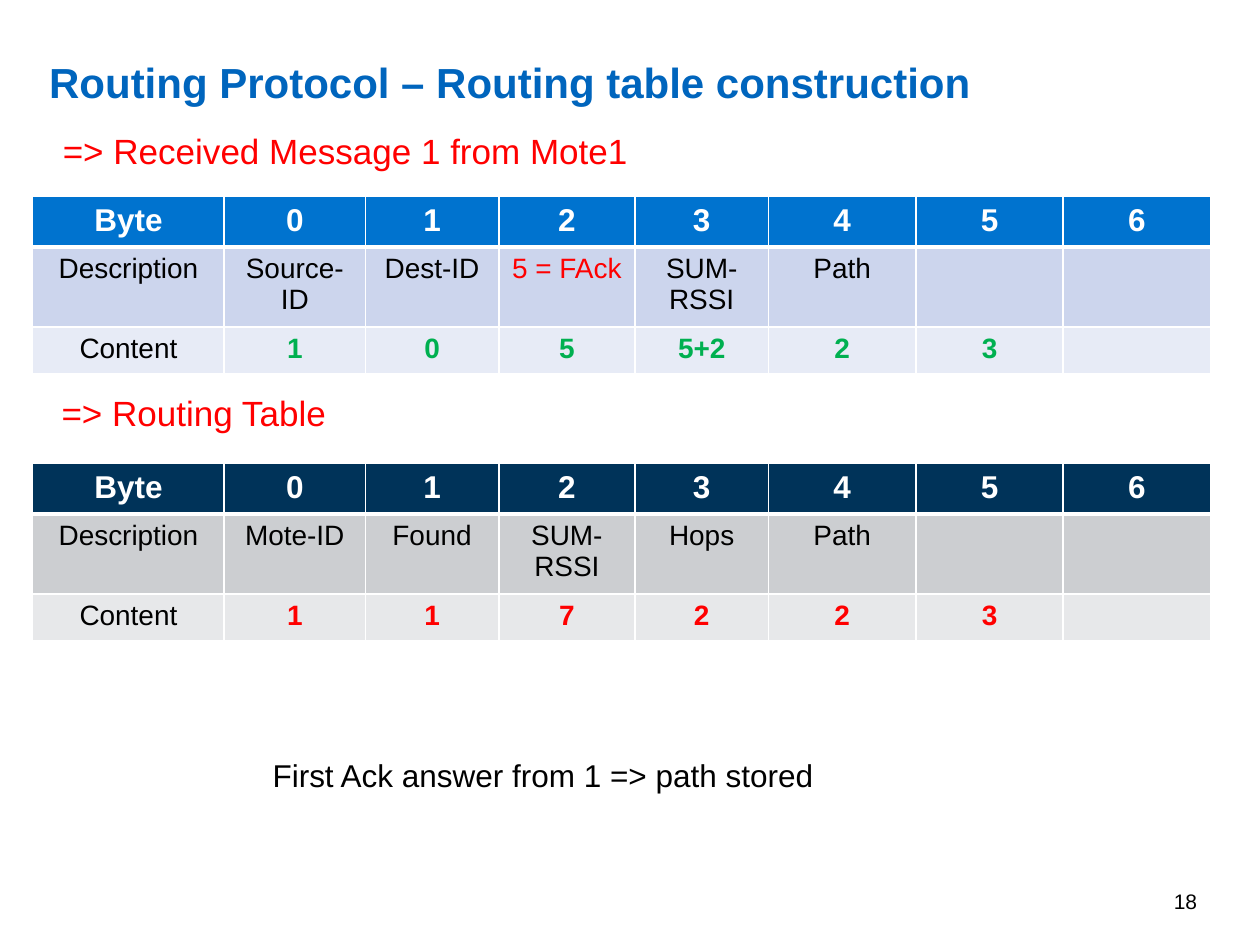
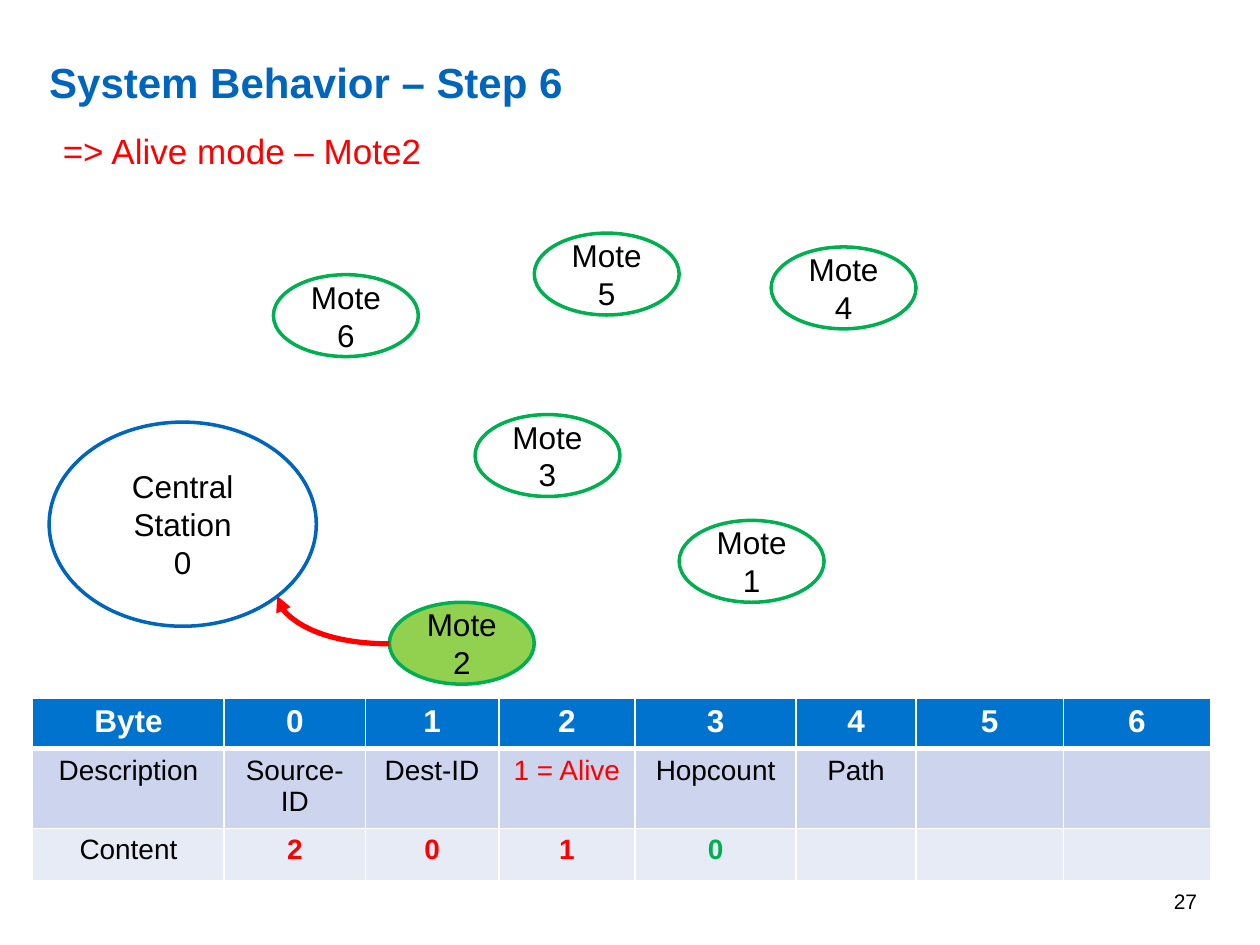
from itertools import zip_longest
from lxml import etree
from pptx import Presentation
from pptx import util as u
from pptx.dml.color import RGBColor
from pptx.enum import shapes, text
from pptx.oxml.ns import qn

FONT = "Arial"
BLACK, WHITE, RED, GREEN, BLUE = "000000", "FFFFFF", "FF0000", "00B050", "0065BD"
LIME = "92D050"
SKY = ("0073CF", "CCD5ED", "E7EBF6")
NAVY = ("003359", "CCCED1", "E7E8EA")
LEFT, MID, RIGHT = text.PP_ALIGN.LEFT, text.PP_ALIGN.CENTER, text.PP_ALIGN.RIGHT
MIDDLE = text.MSO_ANCHOR.MIDDLE


def color(code):
    return RGBColor.from_string(code)


def box(*sizes):
    return [u.Inches(size) for size in sizes]


def write(frame, words, size=18, ink=BLACK, bold=False, align=LEFT, gap=None):
    for i, line in enumerate(words.split("\n")):
        para = frame.paragraphs[0] if i == 0 else frame.add_paragraph()
        para.alignment = align
        if gap:
            para.line_spacing = gap
        if not line:
            etree.SubElement(para._p, qn("a:endParaRPr"), sz=str(size * 100))
            continue
        run = para.add_run()
        run.text = line
        font = run.font
        font.name, font.size, font.bold = FONT, u.Pt(size), bold
        font.color.rgb = color(ink)


def border(cell, head):
    props = cell._tc.get_or_add_tcPr()
    for side in "LRTB":
        thick = 3 if head and side == "B" else 1
        line = etree.SubElement(props, qn(f"a:ln{side}"), w=str(u.Pt(thick)))
        fill = etree.SubElement(line, qn("a:solidFill"))
        etree.SubElement(fill, qn("a:srgbClr"), val=WHITE)


class Deck:
    def __init__(self):
        self.prs = Presentation()
        self.prs.slide_width, self.prs.slide_height = box(10, 7.5)
        self.slide = None

    def page(self, title, number):
        self.slide = self.prs.slides.add_slide(self.prs.slide_layouts[5])
        head = self.slide.shapes.title
        head.left, head.top, head.width, head.height = box(0.39, 0.4, 7.84, 0.39)
        frame = head.text_frame
        frame.margin_left = frame.margin_right = 0
        frame.margin_top = frame.margin_bottom = 0
        frame.vertical_anchor = MIDDLE
        frame.auto_size = text.MSO_AUTO_SIZE.NONE
        write(frame, title, size=24, ink=BLUE, bold=True, gap=1.25)
        self.label((7.27, 6.95, 2.33, 0.4), str(number), wrap=True,
                   size=12, align=RIGHT)

    def label(self, area, words, wrap=False, **style):
        frame = self.slide.shapes.add_textbox(*box(*area)).text_frame
        frame.word_wrap = wrap
        if wrap:
            frame.vertical_anchor = MIDDLE
        else:
            frame.auto_size = text.MSO_AUTO_SIZE.SHAPE_TO_FIT_TEXT
        write(frame, words, **style)

    def note(self, left, top, width, words):
        self.label((left, top, width, 0.44), words, size=20, ink=RED)

    def oval(self, area, words, line=GREEN, fill=WHITE):
        shape = self.slide.shapes.add_shape(shapes.MSO_SHAPE.OVAL, *box(*area))
        shape.shadow.inherit = False
        shape.fill.solid()
        shape.fill.fore_color.rgb = color(fill)
        shape.line.color.rgb = color(line)
        shape.line.width = u.Pt(2)
        shape.text_frame.word_wrap = True
        shape.text_frame.vertical_anchor = MIDDLE
        write(shape.text_frame, words, align=MID)

    def curve(self, start, end):
        link = self.slide.shapes.add_connector(
            shapes.MSO_CONNECTOR.CURVE, *box(*start, *end))
        link.line.color.rgb = color(RED)
        link.line.width = u.Pt(3)
        props = link._element.spPr
        props.find(qn("a:prstGeom")).set("prst", "curvedConnector2")
        etree.SubElement(props.find(qn("a:ln")), qn("a:tailEnd"), type="triangle")
        etree.SubElement(props, qn("a:effectLst"))

    def table(self, top, tints, names, values, inks, mids=(1.06, 1.17), last=0.37):
        cols = (1.52, 1.12, 1.06, 1.08, *mids, 1.17, 1.17)
        rows = (0.39, 0.63, last)
        grid = self.slide.shapes.add_table(
            len(rows), len(cols), *box(0.26, top, sum(cols), sum(rows))).table
        for col, width in zip(grid.columns, cols):
            col.width = u.Inches(width)
        for row, height in zip(grid.rows, rows):
            row.height = u.Inches(height)
        heads = ["Byte", *map(str, range(7))]
        names, values = ["Description", *names], ["Content", *values]
        lines = zip_longest(heads, names, values, [BLACK, *inks], fillvalue="")
        for c, (head, name, value, ink) in enumerate(lines):
            styles = (
                (head, dict(ink=WHITE, bold=True)),
                (name, dict(size=16, ink=RED if "=" in name else BLACK)),
                (value, dict(size=16, ink=ink, bold=c > 0)),
            )
            for r, (words, style) in enumerate(styles):
                cell = grid.cell(r, c)
                border(cell, r == 0)
                cell.fill.solid()
                cell.fill.fore_color.rgb = color(tints[r])
                write(cell.text_frame, words, align=MID, **style)


def main():
    deck = Deck()

    deck.page("Routing Protocol – Routing table construction", 18)
    deck.note(0.4, 0.98, 4.72, "=> Received Message 1 from Mote1")
    deck.table(1.56, SKY,
               ["Source-ID", "Dest-ID", "5 = FAck", "SUM-RSSI", "Path"],
               ["1", "0", "5", "5+2", "2", "3"], [GREEN] * 6)
    deck.table(3.68, NAVY,
               ["Mote-ID", "Found", "SUM-RSSI", "Hops", "Path"],
               ["1", "1", "7", "2", "2", "3"], [RED] * 6)
    deck.note(0.39, 3.06, 2.32, "=> Routing Table")
    deck.label((2.04, 5.95, 4.54, 0.4), "First Ack answer from 1 => path stored",
               align=MID)

    deck.page("System Behavior – Step 6", 27)
    deck.oval((0.39, 3.35, 2.12, 1.62), "Central Station\n0", line=BLUE)
    motes = {6: (2.17, 2.18), 5: (4.24, 1.85), 2: (3.09, 4.78),
             4: (6.12, 1.96), 3: (3.77, 3.29), 1: (5.39, 4.13)}
    for mote, spot in motes.items():
        deck.oval((*spot, 1.15, 0.65), f"Mote {mote}",
                  fill=LIME if mote == 2 else WHITE)
    deck.note(0.4, 0.98, 3.07, "=> Alive mode – Mote2")
    deck.table(5.54, SKY,
               ["Source-ID", "Dest-ID", "1 = Alive", "Hopcount", "Path"],
               ["2", "0", "1", "0"], [RED] * 3 + [GREEN],
               mids=(1.28, 0.95), last=0.42)
    deck.curve((3.09, 5.11), (2.2, 4.73))

    deck.prs.save("out.pptx")


if __name__ == "__main__":
    main()
